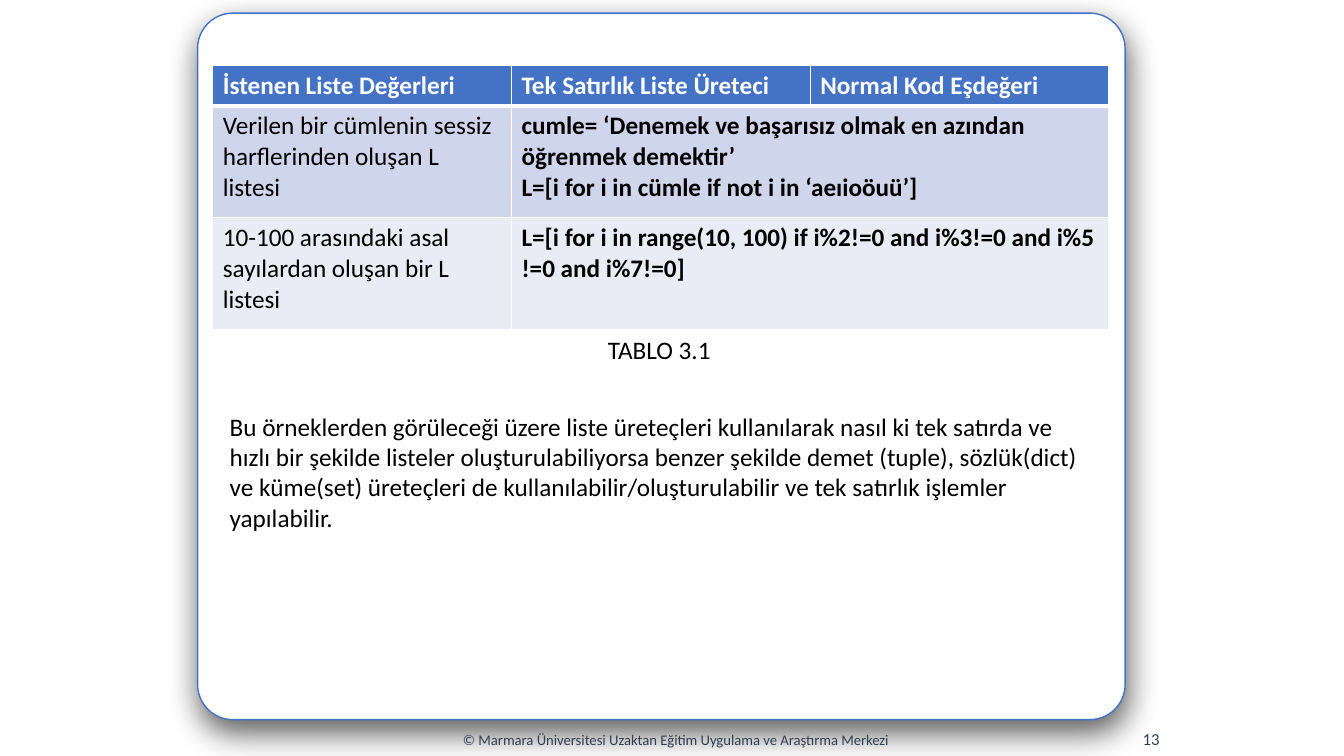
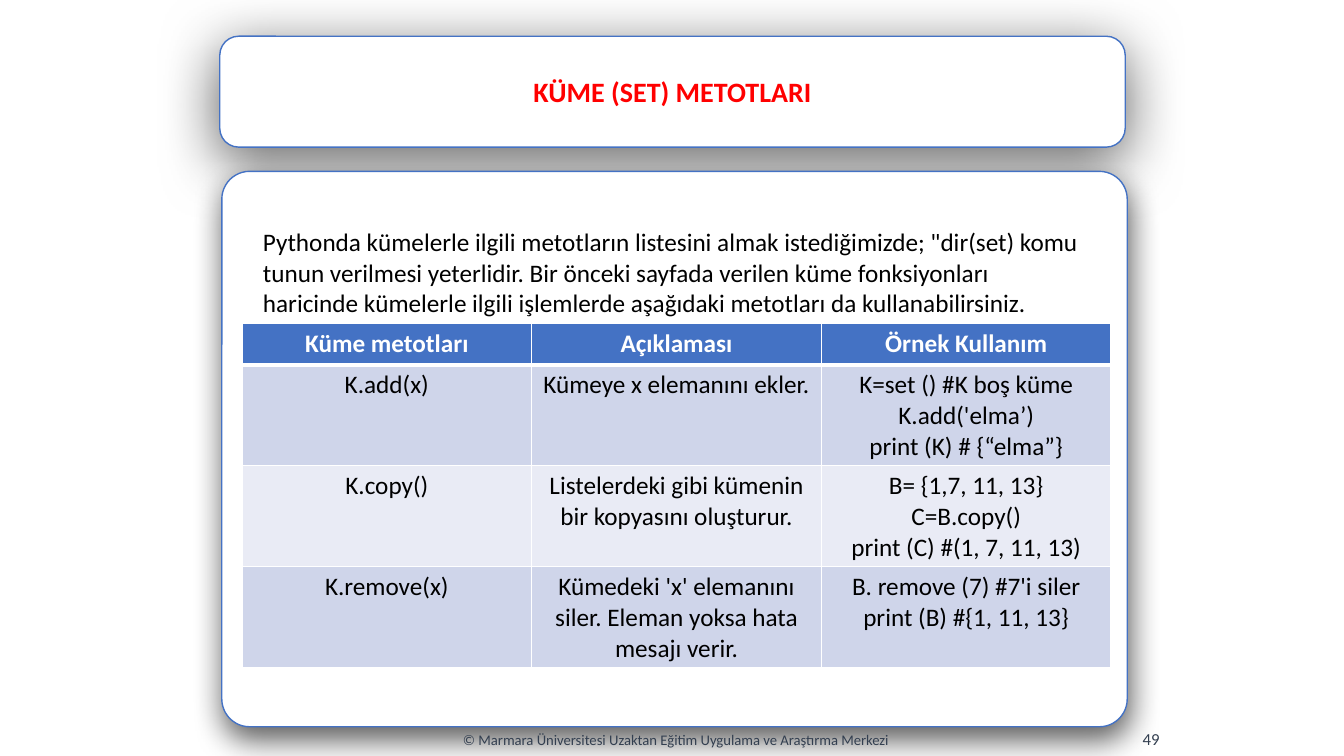
from dataclasses import dataclass

from lxml.etree import SubElement
from pptx import Presentation
from pptx.dml.color import RGBColor
from pptx.enum.shapes import MSO_SHAPE
from pptx.enum.text import MSO_ANCHOR as ANCHOR, PP_ALIGN as ALIGN
from pptx.oxml.ns import qn
from pptx.util import Inches, Pt


@dataclass(frozen=True)
class Theme:
    """Colours, type styles and shadows shared by the slides."""
    accent = RGBColor.from_string("4472C4")
    paper = RGBColor.from_string("FFFFFF")
    ink = RGBColor.from_string("000000")
    slate = RGBColor.from_string("333F50")
    red = RGBColor.from_string("FF0000")
    bands = (RGBColor.from_string("CFD5EA"), RGBColor.from_string("E9EBF5"))
    font = "Calibri"
    body_size = Pt(18)
    title_size = Pt(20)
    footer_size = Pt(10.5)
    number_size = Pt(12)
    rule = Pt(1)
    header_rule = Pt(3)
    panel_shadow = {"blur": 23, "distance": 9, "angle": 81, "opacity": 64}
    title_shadow = {"blur": 43, "distance": 9, "angle": 99, "opacity": 60}

    def style(self, size, colour, bold=False):
        """Return the format values of one kind of text."""
        return {"name": self.font, "size": size, "bold": bold, "colour": colour}


THEME = Theme()
BODY = THEME.style(THEME.body_size, THEME.ink)
CODE = THEME.style(THEME.body_size, THEME.ink, True)
HEADING = THEME.style(THEME.body_size, THEME.paper, True)
TITLE = THEME.style(THEME.title_size, THEME.red, True)
FOOTER = THEME.style(THEME.footer_size, THEME.slate)
NUMBER = THEME.style(THEME.number_size, THEME.slate)


@dataclass(frozen=True)
class Box:
    """A rectangle measured in inches."""
    left: float
    top: float
    width: float
    height: float

    def within(self, dx, dy, width, height):
        """Return a box offset from this one."""
        return Box(self.left + dx, self.top + dy, width, height)

    def place(self):
        """Return the four lengths that python-pptx expects."""
        return [Inches(v) for v in (self.left, self.top, self.width, self.height)]


PAGE = Box(0, 0, 13.33, 7.5)


def write(frame, text, style, align=ALIGN.LEFT):
    """Fill a text frame with one paragraph per line of text."""
    frame.word_wrap = True
    for index, line in enumerate(text.split("\n")):
        paragraph = frame.add_paragraph() if index else frame.paragraphs[0]
        paragraph.alignment = align
        run = paragraph.add_run()
        run.text = line
        for name, value in style.items():
            if name == "colour":
                run.font.color.rgb = value
            else:
                setattr(run.font, name, value)


def add_text(slide, box, text, style, align=ALIGN.LEFT, anchor=ANCHOR.TOP):
    """Add a wrapping text box."""
    frame = slide.shapes.add_textbox(*box.place()).text_frame
    write(frame, text, style, align)
    frame.vertical_anchor = anchor


def cast_shadow(shape, blur, distance, angle, opacity):
    """Give a shape an outer shadow."""
    shape.shadow.inherit = False
    effects = shape._element.spPr.find(qn("a:effectLst"))
    shadow = SubElement(effects, qn("a:outerShdw"), blurRad=str(Pt(blur)),
                        dist=str(Pt(distance)), dir=str(angle * 60000),
                        algn="ctr", rotWithShape="0")
    colour = SubElement(shadow, qn("a:srgbClr"), val=str(THEME.ink))
    SubElement(colour, qn("a:alpha"), val=str(opacity * 1000))


def add_card(slide, box, shadow, corner):
    """Add a white rounded card with a blue outline."""
    card = slide.shapes.add_shape(MSO_SHAPE.ROUNDED_RECTANGLE, *box.place())
    card.adjustments[0] = corner
    card.fill.solid()
    card.fill.fore_color.rgb = THEME.paper
    card.line.color.rgb = THEME.accent
    card.line.width = THEME.rule
    cast_shadow(card, **shadow)
    return card


def add_title(slide, box, text):
    """Add the title card."""
    card = add_card(slide, box, THEME.title_shadow, 0.17)
    write(card.text_frame, text, TITLE, ALIGN.CENTER)
    card.text_frame.vertical_anchor = ANCHOR.MIDDLE


def add_panel(slide, box):
    """Add the large card that holds the content."""
    add_card(slide, box, THEME.panel_shadow, 0.05)


def add_footer(slide, number):
    """Add the copyright line and the slide number."""
    add_text(slide, PAGE.within(3.75, 7.14, 5.91, 0.4),
             "© Marmara Üniversitesi Uzaktan Eğitim Uygulama ve Araştırma Merkezi",
             FOOTER, ALIGN.CENTER, ANCHOR.MIDDLE)
    add_text(slide, PAGE.within(9.27, 7.13, 2.33, 0.4), str(number),
             NUMBER, ALIGN.RIGHT, ANCHOR.MIDDLE)


def rule_cell(cell, row):
    """Draw the white borders of a cell, thicker under the header."""
    widths = {"L": THEME.rule, "R": THEME.rule,
              "T": THEME.header_rule if row == 1 else THEME.rule,
              "B": THEME.header_rule if row == 0 else THEME.rule}
    properties = cell._tc.get_or_add_tcPr()
    for side, width in widths.items():
        line = SubElement(properties, qn(f"a:ln{side}"), w=str(width))
        fill = SubElement(line, qn("a:solidFill"))
        SubElement(fill, qn("a:srgbClr"), val=str(THEME.paper))


def add_banded_table(slide, box, rows, header_height, align, last_style):
    """Add a banded table; a short row stretches its last cell to the edge."""
    columns = len(rows[0])
    table = slide.shapes.add_table(len(rows), columns, *box.place()).table
    row_height = (box.height - header_height) / (len(rows) - 1)
    for column in table.columns:
        column.width = Inches(box.width / columns)
    for r, texts in enumerate(rows):
        table.rows[r].height = Inches(row_height if r else header_height)
        for c in range(columns):
            cell = table.cell(r, c)
            rule_cell(cell, r)
            cell.fill.solid()
            cell.fill.fore_color.rgb = THEME.bands[(r - 1) % 2] if r else THEME.accent
        last = len(texts) - 1
        if last < columns - 1:
            table.cell(r, last).merge(table.cell(r, columns - 1))
        for c, text in enumerate(texts):
            style = HEADING if r == 0 else last_style if c == last else BODY
            write(table.cell(r, c).text_frame, text, style, align)


def build_generators(slide):
    """Build the slide on list generators."""
    panel = Box(1.96, 0.13, 9.2, 7.01)
    add_panel(slide, panel)
    add_footer(slide, 13)
    rows = [
        ("İstenen Liste Değerleri", "Tek Satırlık Liste Üreteci", "Normal Kod Eşdeğeri"),
        ("Verilen bir cümlenin sessiz harflerinden oluşan L listesi",
         "cumle= ‘Denemek ve başarısız olmak en azından öğrenmek demektir’\n"
         "L=[i for i in cümle if not i in ‘aeıioöuü’]"),
        ("10-100 arasındaki asal sayılardan oluşan bir L listesi",
         "L=[i for i in range(10, 100) if i%2!=0 and i%3!=0 and i%5 !=0 and i%7!=0]"),
    ]
    add_banded_table(slide, panel.within(0.15, 0.52, 8.89, 2.62), rows, 0.4, ALIGN.LEFT, CODE)
    add_text(slide, panel.within(3.97, 3.14, 1.4, 0.4), "TABLO 3.1", BODY)
    add_text(slide, panel.within(0.22, 3.9, 8.73, 1.31),
             "Bu örneklerden görüleceği üzere liste üreteçleri kullanılarak nasıl ki tek "
             "satırda ve hızlı bir şekilde listeler oluşturulabiliyorsa benzer şekilde demet "
             "(tuple), sözlük(dict) ve küme(set) üreteçleri de kullanılabilir/oluşturulabilir "
             "ve tek satırlık işlemler yapılabilir.", BODY)


def build_set_methods(slide):
    """Build the slide on set methods."""
    panel = Box(2.2, 1.7, 8.98, 5.51)
    add_title(slide, Box(2.18, 0.36, 8.98, 1.1), "KÜME (SET) METOTLARI")
    add_panel(slide, panel)
    add_footer(slide, 49)
    add_text(slide, panel.within(0.31, 0.5, 8.36, 1.01),
             "Pythonda kümelerle ilgili metotların listesini almak istediğimizde; \"dir(set) "
             "komu tunun verilmesi yeterlidir. Bir önceki sayfada verilen küme fonksiyonları "
             "haricinde kümelerle ilgili işlemlerde aşağıdaki metotları da "
             "kullanabilirsiniz.", BODY)
    rows = [
        ("Küme metotları", "Açıklaması", "Örnek Kullanım"),
        ("K.add(x)", "Kümeye x elemanını ekler.",
         "K=set () #K boş küme\nK.add('elma’)\nprint (K) # {“elma”}"),
        ("K.copy()", "Listelerdeki gibi kümenin bir kopyasını oluşturur.",
         "B= {1,7, 11, 13}\nC=B.copy()\nprint (C) #(1, 7, 11, 13)"),
        ("K.remove(x)", "Kümedeki 'x' elemanını siler. Eleman yoksa hata mesajı verir.",
         "B. remove (7) #7'i siler print (B) #{1, 11, 13}"),
    ]
    add_banded_table(slide, panel.within(0.2, 1.51, 8.62, 3.41), rows, 0.41, ALIGN.CENTER, BODY)


def main():
    """Build and save the presentation."""
    deck = Presentation()
    deck.slide_width, deck.slide_height = Inches(PAGE.width), Inches(PAGE.height)
    for build in (build_generators, build_set_methods):
        build(deck.slides.add_slide(deck.slide_layouts[6]))
    deck.save("out.pptx")


if __name__ == "__main__":
    main()
